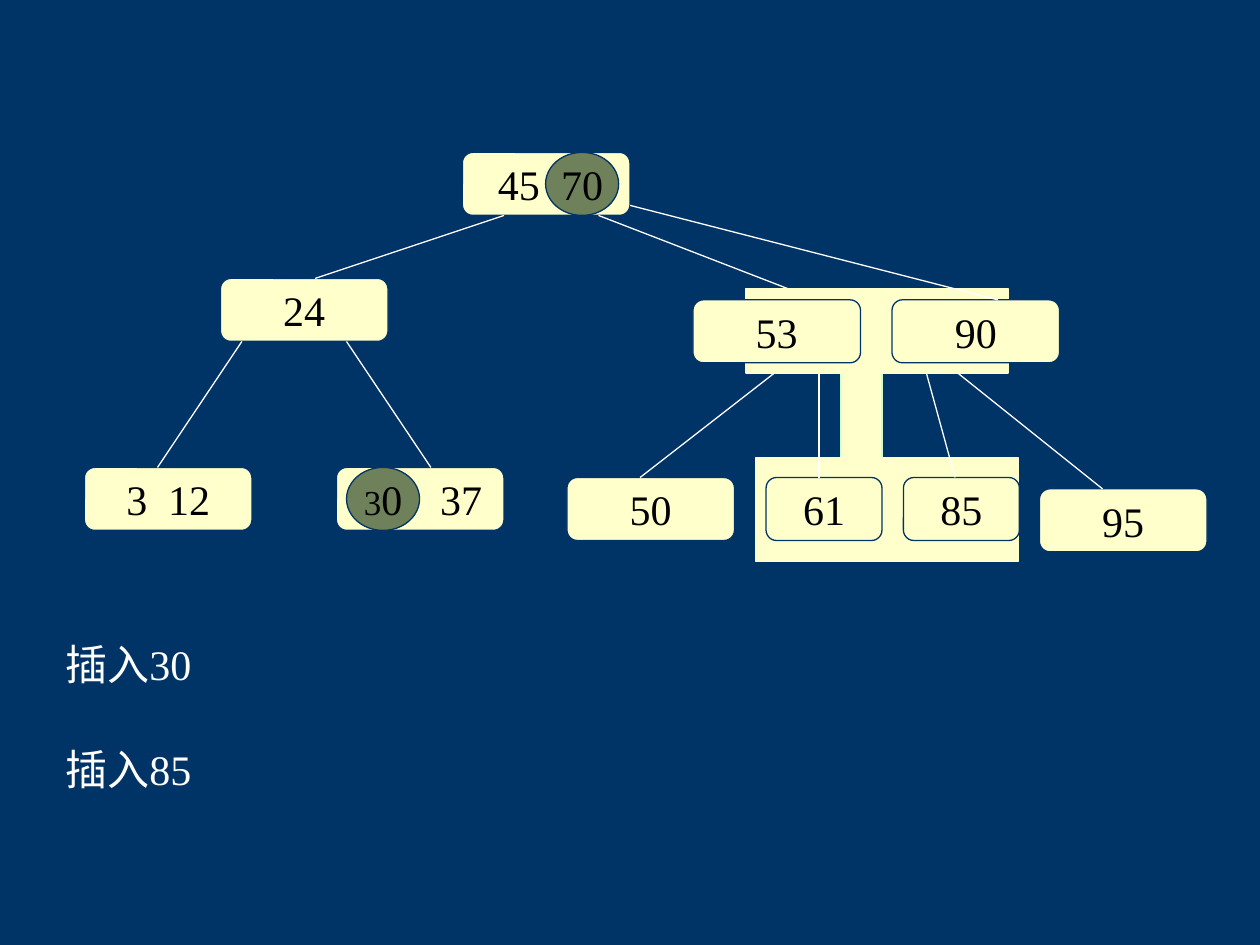
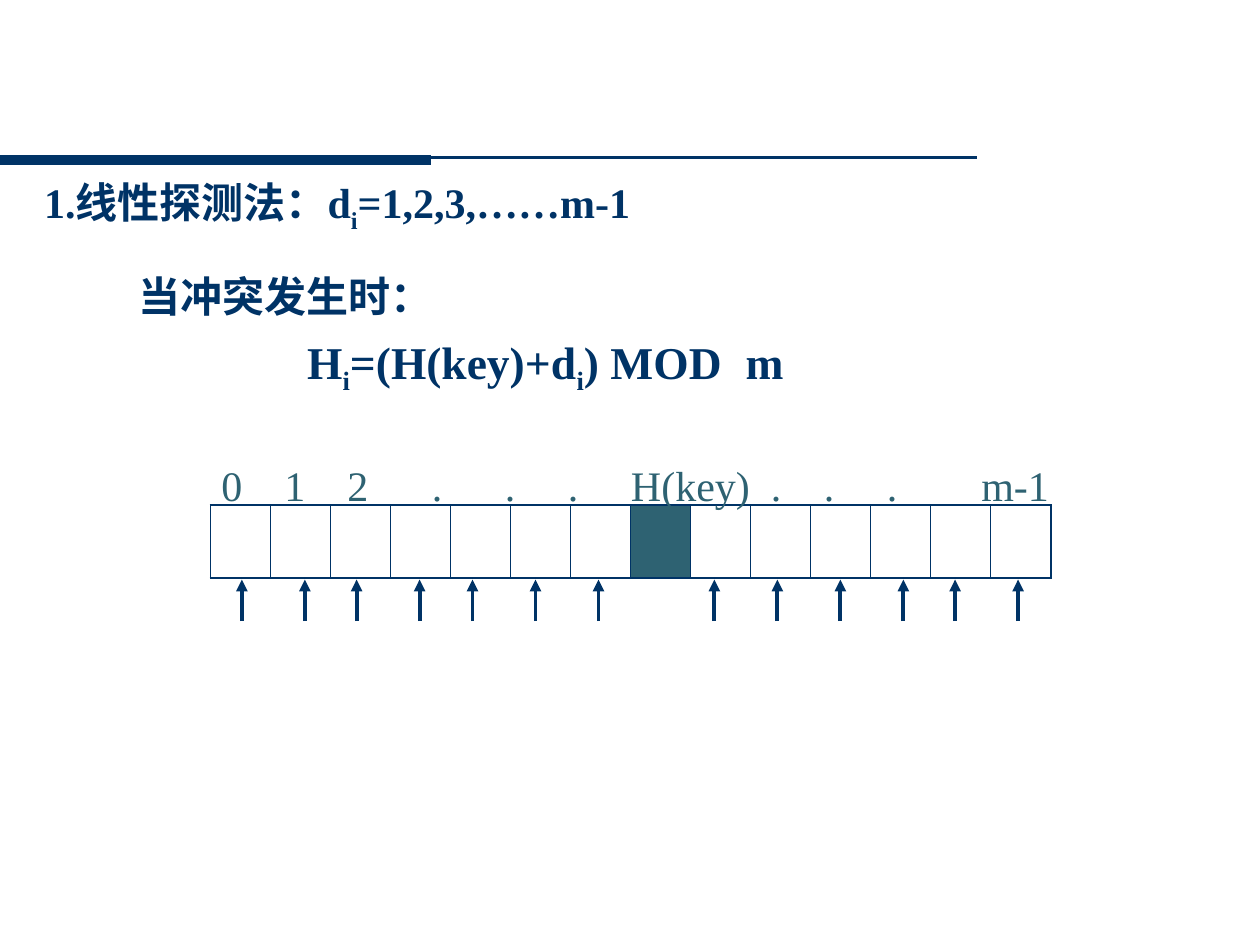
from lxml import etree
from pptx import Presentation
from pptx.dml.color import RGBColor
from pptx.enum import shapes, text
from pptx.oxml import ns
from pptx.util import Inches, Pt

NAVY = RGBColor(0x00, 0x33, 0x66)
CREAM = RGBColor(0xFF, 0xFF, 0xCC)
MINT = RGBColor(0xCC, 0xFF, 0xCC)
OLIVE = RGBColor(0x6E, 0x81, 0x5B)
TEAL = RGBColor(0x2E, 0x62, 0x72)
WHITE = RGBColor(0xFF, 0xFF, 0xFF)
BLACK = RGBColor(0x00, 0x00, 0x00)

KIND = shapes.MSO_SHAPE
LEFT, CENTER = text.PP_ALIGN.LEFT, text.PP_ALIGN.CENTER
TOP, MIDDLE = text.MSO_ANCHOR.TOP, text.MSO_ANCHOR.MIDDLE
FONT = "Times New Roman"


def apply(target, values):
    for key, value in values.items():
        setattr(target, key, value)


def sub(parent, tag, **attributes):
    return etree.SubElement(parent, ns.qn(tag), attributes)


class Deck:
    def __init__(self):
        self.prs = Presentation()
        apply(self.prs, {"slide_width": Inches(10), "slide_height": Inches(7.5)})
        self.slide = None

    def new_slide(self, layout, background):
        self.slide = self.prs.slides.add_slide(self.prs.slide_layouts[layout])
        fill = self.slide.background.fill
        fill.solid()
        fill.fore_color.rgb = background

    def fill_frame(self, frame, pieces, color, size=24, bold=False, align=LEFT,
                   anchor=TOP, spacing=1.0, tabs=(), margins=(0.1, 0.05, 0.1, 0.05)):
        left, top, right, bottom = map(Inches, margins)
        apply(frame, {"word_wrap": True, "auto_size": text.MSO_AUTO_SIZE.NONE,
                      "vertical_anchor": anchor, "margin_left": left, "margin_top": top,
                      "margin_right": right, "margin_bottom": bottom})
        paragraph = frame.paragraphs[0]
        if tabs:
            stops = sub(paragraph._p.get_or_add_pPr(), "a:tabLst")
            for stop in tabs:
                sub(stops, "a:tab", pos=str(Inches(stop)), algn="l")
        apply(paragraph, {"alignment": align, "line_spacing": spacing})
        for piece in pieces:
            wording, changes = piece if isinstance(piece, tuple) else (piece, {})
            run = paragraph.add_run()
            run.text = wording
            style = {"name": FONT, "size": Pt(changes.get("size", size)), "bold": bold}
            apply(run.font, style)
            run.font.color.rgb = color
            if "baseline" in changes:
                run._r.get_or_add_rPr().set("baseline", changes["baseline"])

    def title(self, box, pieces, **style):
        heading = self.slide.shapes.title
        apply(heading, dict(zip(("left", "top", "width", "height"), map(Inches, box))))
        self.fill_frame(heading.text_frame, pieces, **style)

    def text(self, box, pieces, **style):
        label = self.slide.shapes.add_textbox(*map(Inches, box))
        self.fill_frame(label.text_frame, pieces, **style)

    def shape(self, kind, box, fill, outline=NAVY):
        item = self.slide.shapes.add_shape(kind, *map(Inches, box))
        item.shadow.inherit = False
        item.fill.solid()
        item.fill.fore_color.rgb = fill
        item.line.color.rgb = outline
        item.line.width = Pt(0.75)
        return item

    def node(self, left, top, key, width=1.33, **style):
        box = self.shape(KIND.ROUNDED_RECTANGLE, (left, top, width, 0.5), CREAM)
        style = {"align": CENTER, "anchor": MIDDLE, **style}
        self.fill_frame(box.text_frame, [key], BLACK, **style)

    def new_key(self, left, top, pieces):
        disc = self.shape(KIND.OVAL, (left, top, 0.58, 0.5), OLIVE)
        self.fill_frame(disc.text_frame, pieces, BLACK, align=CENTER, anchor=MIDDLE,
                        margins=(0, 0, 0, 0))
        disc.text_frame.word_wrap = False

    def line(self, ends, color=WHITE, width=0.75, arrow=False):
        stroke = self.slide.shapes.add_connector(
            shapes.MSO_CONNECTOR.STRAIGHT, *map(Inches, ends))
        stroke.line.color.rgb = color
        stroke.line.width = Pt(width)
        properties = stroke._element.spPr
        if arrow:
            sub(properties.find(ns.qn("a:ln")), "a:tailEnd", type="triangle")
        sub(properties, "a:effectLst")

    def slots(self, box, count, occupied):
        table = self.slide.shapes.add_table(1, count, *map(Inches, box)).table
        apply(table, {"first_row": False, "horz_banding": False})
        table.rows[0].height = Inches(box[3])
        for index, column in enumerate(table.columns):
            column.width = int(Inches(box[2]) / count)
            cell = table.cell(0, index)
            outer = {"a:lnL": index == 0, "a:lnR": index == count - 1,
                     "a:lnT": True, "a:lnB": True}
            for side, thick in outer.items():
                border = sub(cell._tc.get_or_add_tcPr(), side,
                             w=str(Pt(1.08 if thick else 0.45)))
                sub(sub(border, "a:solidFill"), "a:srgbClr", val=str(NAVY))
            if index == occupied:
                cell.fill.solid()
                cell.fill.fore_color.rgb = TEAL
            else:
                cell.fill.background()


def tree_slide(deck):
    deck.new_slide(6, NAVY)
    deck.node(3.67, 1.21, "45", margins=(0.1, 0.05, 0.53, 0.05))
    deck.node(1.75, 2.21, "24")
    deck.node(0.67, 3.71, "3\t12", align=LEFT, tabs=[0.33], margins=(0.31, 0.05, 0.1, 0.05))
    deck.node(2.67, 3.71, "37", margins=(0.75, 0.05, 0.1, 0.05))
    deck.node(4.5, 3.79, "50")
    deck.node(8.25, 3.88, "95")
    for branch in ((4, 1.71, 2.5, 2.21), (4.75, 1.71, 6.25, 2.29),
                   (1.92, 2.71, 1.25, 3.71), (2.75, 2.71, 3.42, 3.71),
                   (6.25, 2.88, 5.08, 3.79), (7.5, 2.88, 8.75, 3.88)):
        deck.line(branch)
    for top, step in ((5.02, "插入30"), (5.85, "插入85")):
        deck.text((0.42, top, 1.5, 0.5), [step], color=WHITE)

    deck.shape(KIND.RECTANGLE, (6.67, 2.96, 0.33, 0.92), CREAM, MINT)
    deck.shape(KIND.RECTANGLE, (6, 3.63, 2.08, 0.83), CREAM, CREAM)
    deck.node(6.08, 3.79, "61", width=0.92)
    deck.node(7.17, 3.79, "85", width=0.92)
    deck.line((6.5, 2.88, 6.5, 3.79))
    deck.line((7.33, 2.88, 7.58, 3.79))
    deck.shape(KIND.RECTANGLE, (5.92, 2.29, 2.08, 0.67), CREAM, CREAM)
    deck.node(5.5, 2.38, "53")
    deck.node(7.08, 2.38, "90")
    deck.line((5, 1.63, 7.92, 2.38))
    deck.new_key(2.75, 3.71, [("3", {"size": 20}), "0"])
    deck.new_key(4.33, 1.21, ["70"])


def probing_slide(deck):
    deck.new_slide(5, WHITE)
    deck.line((7.75, 1.25, 0, 1.25), NAVY, 1.5)
    deck.line((0, 1.27, 3.42, 1.27), NAVY, 6)
    index = ("i", {"baseline": "-25000"})
    emphasis = {"color": NAVY, "bold": True}
    deck.title((0.25, 1.26, 8.58, 0.65), ["1.线性探测法：d", index, "=1,2,3,……m-1"],
               spacing=1.2, **emphasis)
    deck.text((1, 2.1, 4.42, 0.5), ["当冲突发生时："], **emphasis)
    deck.text((2.34, 2.6, 4.33, 0.6), ["H", index, "=(H(key)+d", index, ") MOD\tm"],
              size=26, tabs=[3.48], **emphasis)

    deck.slots((1.67, 4.01, 6.67, 0.58), 14, occupied=7)
    addresses = ["0", "1", "2", ".", ".", ".", "H(key)", ".", ".", ".", "m-1"]
    deck.text((1.66, 3.65, 6.84, 0.4), ["\t".join(addresses)], color=TEAL, anchor=MIDDLE,
              tabs=[0.5, 1, 1.67, 2.25, 2.75, 3.25, 4.36, 4.78, 5.28, 6.03],
              margins=(0.1, 0, 0.1, 0))
    for probe in (1.92, 2.42, 2.83, 3.33, 3.75, 4.25, 4.75,
                  5.67, 6.17, 6.67, 7.17, 7.58, 8.08):
        deck.line((probe, 4.93, probe, 4.6), NAVY, 2.25, arrow=True)


def main():
    deck = Deck()
    tree_slide(deck)
    probing_slide(deck)
    deck.prs.save("out.pptx")


if __name__ == "__main__":
    main()
